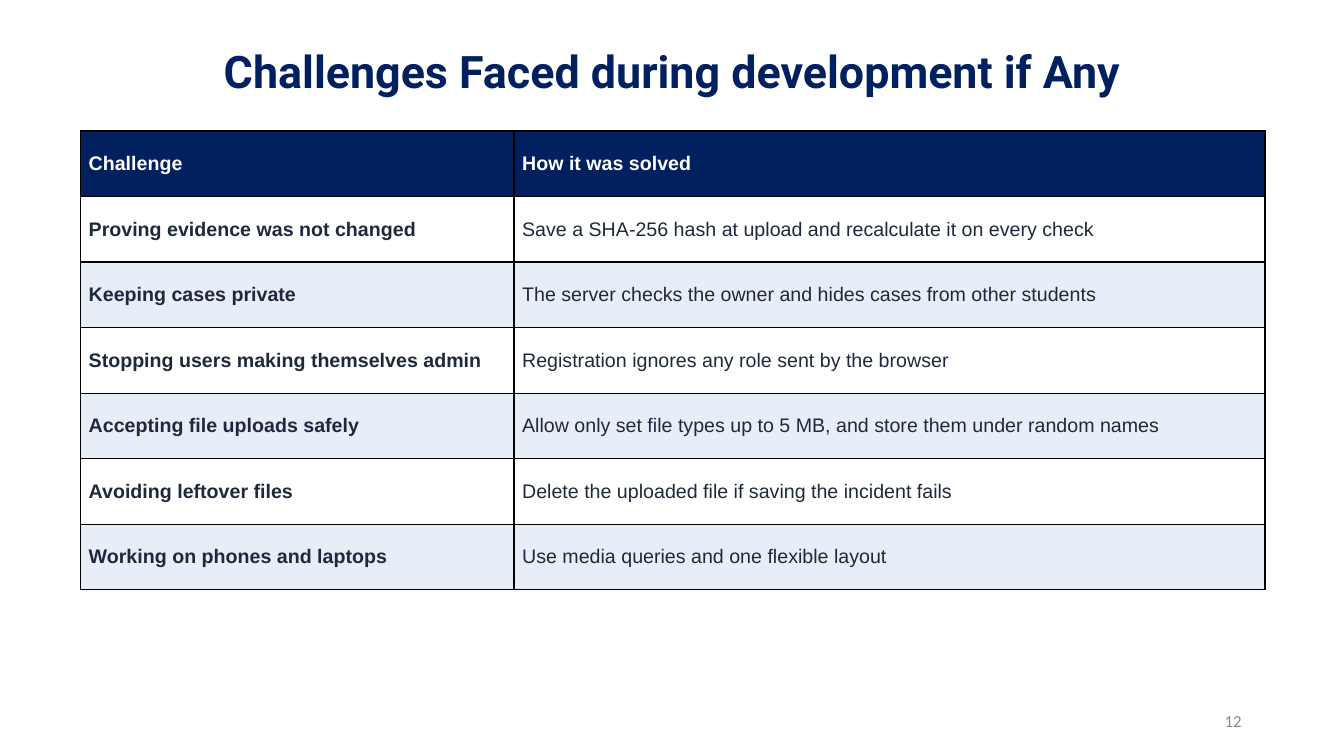
from dataclasses import dataclass

from lxml.etree import SubElement
from pptx import Presentation
from pptx.dml.color import RGBColor
from pptx.enum.text import MSO_ANCHOR, PP_ALIGN
from pptx.oxml.ns import qn
from pptx.util import Pt


@dataclass(frozen=True)
class Theme:
    """Colours, fonts and type sizes of the slide."""
    navy: str = "002060"
    ink: str = "1F293D"
    white: str = "FFFFFF"
    band: str = "E8EEF8"
    border: str = "000000"
    grey: str = "888888"
    title_font: str = "Roboto"
    table_font: str = "Arial"
    number_font: str = "Calibri"
    title_size: int = 32
    table_size: int = 14
    number_size: int = 12
    border_width: int = 1


THEME = Theme()

HEADINGS = ("Challenge", "How it was solved")
SOLUTIONS = (
    ("Proving evidence was not changed",
     "Save a SHA-256 hash at upload and recalculate it on every check"),
    ("Keeping cases private",
     "The server checks the owner and hides cases from other students"),
    ("Stopping users making themselves admin",
     "Registration ignores any role sent by the browser"),
    ("Accepting file uploads safely",
     "Allow only set file types up to 5 MB, and store them under random names"),
    ("Avoiding leftover files",
     "Delete the uploaded file if saving the incident fails"),
    ("Working on phones and laptops",
     "Use media queries and one flexible layout"),
)


def style_font(font, name, size, colour, bold=False):
    """Set the face, size, colour and weight of a font."""
    font.name = name
    font.size = Pt(size)
    font.bold = bold
    font.color.rgb = RGBColor.from_string(colour)


def set_margins(holder, horizontal, vertical):
    """Set the inner margins of a text frame or table cell in points."""
    holder.margin_left = holder.margin_right = Pt(horizontal)
    holder.margin_top = holder.margin_bottom = Pt(vertical)


def add_line_of_text(slide, box, wording, align, margins):
    """Add a vertically centred text box and return its paragraph."""
    frame = slide.shapes.add_textbox(*map(Pt, box)).text_frame
    frame.word_wrap = True
    frame.vertical_anchor = MSO_ANCHOR.MIDDLE
    set_margins(frame, *margins)
    paragraph = frame.paragraphs[0]
    paragraph.text = wording
    paragraph.alignment = align
    return paragraph


def add_title(slide, box, wording):
    """Add the centred slide title."""
    title = add_line_of_text(slide, box, wording, PP_ALIGN.CENTER, (0, 0))
    title.line_spacing = 0.9
    style_font(title.font, THEME.title_font, THEME.title_size, THEME.navy, True)


def add_slide_number(slide, box, wording):
    """Add the slide number at the right of its box."""
    number = add_line_of_text(slide, box, wording, PP_ALIGN.RIGHT, (7.2, 3.6))
    style_font(number.font, THEME.number_font, THEME.number_size, THEME.grey)


def add_borders(cell):
    """Draw a thin line on all four sides of a cell."""
    properties = cell._tc.get_or_add_tcPr()
    for position, side in enumerate(("lnL", "lnR", "lnT", "lnB")):
        line = SubElement(properties, qn(f"a:{side}"), w=str(Pt(THEME.border_width)))
        fill = SubElement(line, qn("a:solidFill"))
        SubElement(fill, qn("a:srgbClr"), val=THEME.border)
        properties.insert(position, line)


def fill_cell(cell, wording, background, colour, bold):
    """Write and format one table cell."""
    cell.vertical_anchor = MSO_ANCHOR.MIDDLE
    set_margins(cell, 5.76, 2.16)
    cell.fill.solid()
    cell.fill.fore_color.rgb = RGBColor.from_string(background)
    add_borders(cell)
    paragraph = cell.text_frame.paragraphs[0]
    paragraph.text = wording
    style_font(paragraph.font, THEME.table_font, THEME.table_size, colour, bold)


def add_challenges(slide, box, challenge_width):
    """Add the table of challenges and solutions, with equal rows."""
    left, top, width, height = box
    entries = (HEADINGS, *SOLUTIONS)
    challenges = slide.shapes.add_table(
        len(entries), len(HEADINGS), Pt(left), Pt(top), Pt(width), Pt(height)).table
    challenges.columns[0].width = Pt(challenge_width)
    challenges.columns[1].width = Pt(width - challenge_width)
    for row, entry in enumerate(entries):
        challenges.rows[row].height = Pt(height / len(entries))
        is_heading = row == 0
        stripe = THEME.white if row % 2 else THEME.band
        background = THEME.navy if is_heading else stripe
        colour = THEME.white if is_heading else THEME.ink
        for column, wording in enumerate(entry):
            fill_cell(challenges.cell(row, column), wording, background, colour,
                      is_heading or column == 0)


def main():
    """Build and save the slide."""
    deck = Presentation()
    deck.slide_width, deck.slide_height = Pt(960), Pt(540)
    slide = deck.slides.add_slide(deck.slide_layouts[6])
    add_slide_number(slide, (678, 500.4, 216, 28.8), "12")
    add_title(slide, (83.5, 35.3, 793.5, 34.6),
              "Challenges Faced during development if Any")
    add_challenges(slide, (57.6, 93.6, 846, 327.6), 309.6)
    deck.save("out.pptx")


if __name__ == "__main__":
    main()
